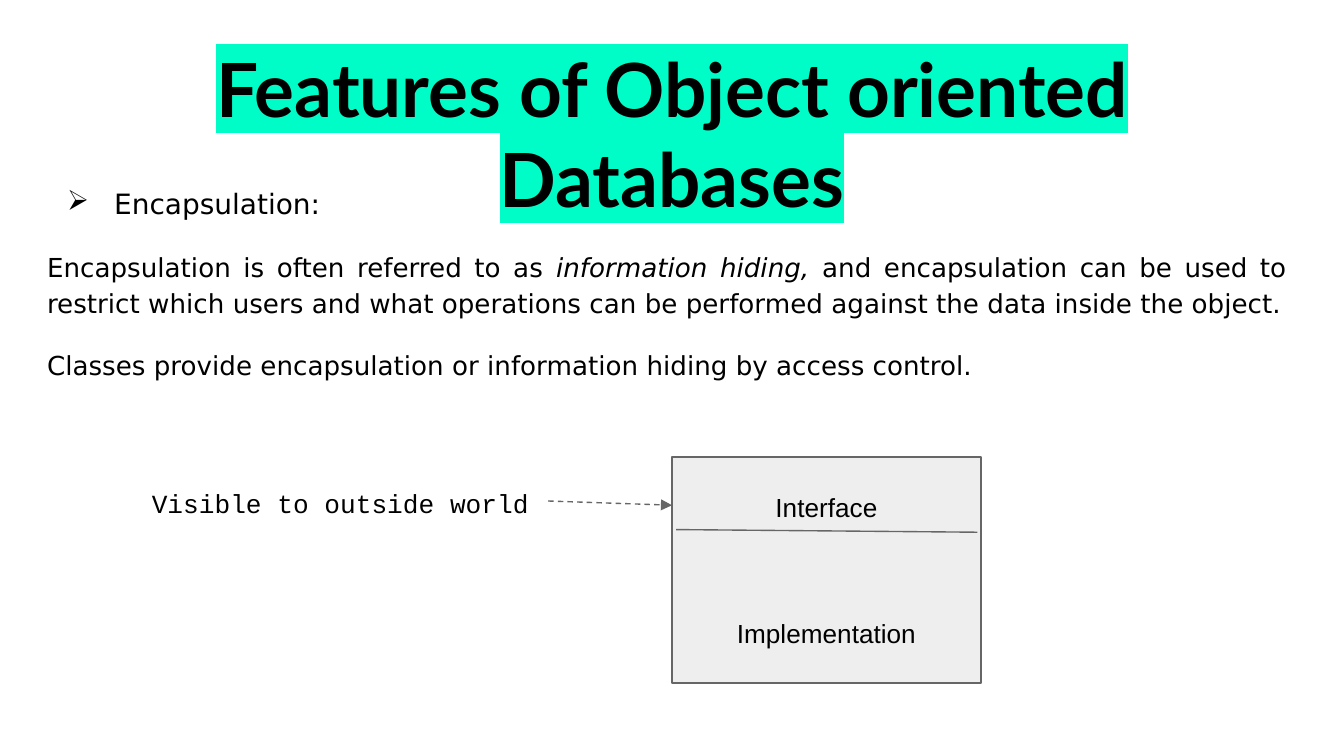
from dataclasses import dataclass, field

import pptx
import pptx.dml.color
import pptx.enum.dml
import pptx.enum.shapes
import pptx.enum.text
import pptx.oxml
import pptx.oxml.ns
import pptx.util
from lxml import etree
from pptx.util import Cm

Align = pptx.enum.text.PP_ALIGN
Anchor = pptx.enum.text.MSO_ANCHOR


@dataclass(frozen=True)
class Theme:
    ink: str = "000000"
    line: str = "666666"
    panel: str = "EEEEEE"
    highlight: str = "00FDC8"
    title_size: int = 40
    bullet_size: int = 15
    body_size: int = 14
    line_width: float = 0.75
    inset: float = 0.25
    title_font: str = "Lato"
    body_font: str = "DejaVu Sans"
    panel_font: str = "Arial"
    label_font: str = "Courier New"


THEME = Theme()


@dataclass(frozen=True)
class Frame:
    left: float
    top: float
    width: float
    height: float

    def lengths(self) -> tuple:
        return Cm(self.left), Cm(self.top), Cm(self.width), Cm(self.height)


@dataclass(frozen=True)
class Span:
    text: str
    italic: bool = False


@dataclass(frozen=True)
class Para:
    spans: list[Span]
    font: str
    size: int = THEME.body_size
    align: Align = Align.LEFT
    bold: bool = False
    space_before: float = 0
    line_spacing: float = 1.0
    bullet: str = ""
    highlight: str = ""


@dataclass(frozen=True)
class Line:
    start: tuple[float, float]
    end: tuple[float, float]
    arrow: bool = False


def rgb(value: str) -> pptx.dml.color.RGBColor:
    return pptx.dml.color.RGBColor.from_string(value)


def add_xml(parent, tag: str, **attributes: str):
    return etree.SubElement(parent, pptx.oxml.ns.qn(tag), attributes)


def add_bullet(para, mark: str) -> None:
    properties = para._p.get_or_add_pPr()
    properties.set("marL", str(Cm(1.27)))
    properties.set("indent", str(Cm(-0.89)))
    add_xml(properties, "a:buChar", char=mark)


def write_para(para, content: Para) -> None:
    para.alignment = content.align
    para.line_spacing = content.line_spacing
    para.space_before = pptx.util.Pt(content.space_before)
    if content.bullet:
        add_bullet(para, content.bullet)
    para.font.name = content.font
    para.font.size = pptx.util.Pt(content.size)
    para.font.bold = content.bold
    para.font.color.rgb = rgb(THEME.ink)
    for span in content.spans:
        run = para.add_run()
        run.text = span.text
        if span.italic:
            run.font.italic = True
        if content.highlight:
            marker = add_xml(run._r.get_or_add_rPr(), "a:highlight")
            add_xml(marker, "a:srgbClr", val=content.highlight)


def write_text(shape, paras: list[Para], anchor: Anchor = Anchor.TOP) -> None:
    frame = shape.text_frame
    frame.word_wrap = True
    frame.auto_size = pptx.enum.text.MSO_AUTO_SIZE.NONE
    frame.vertical_anchor = anchor
    frame.margin_left = frame.margin_right = Cm(THEME.inset)
    frame.margin_top = frame.margin_bottom = Cm(THEME.inset)
    for index, content in enumerate(paras):
        write_para(frame.add_paragraph() if index else frame.paragraphs[0], content)


def write_title(page, frame: Frame, content: Para) -> None:
    title = page.shapes.title
    title.left, title.top, title.width, title.height = frame.lengths()
    write_text(title, [content])


def add_text(page, frame: Frame, paras: list[Para]) -> None:
    write_text(page.shapes.add_textbox(*frame.lengths()), paras)


def add_panel(page, frame: Frame, paras: list[Para]) -> None:
    box = page.shapes.add_shape(pptx.enum.shapes.MSO_SHAPE.RECTANGLE, *frame.lengths())
    box.shadow.inherit = False
    box.fill.solid()
    box.fill.fore_color.rgb = rgb(THEME.panel)
    box.line.color.rgb = rgb(THEME.line)
    box.line.width = pptx.util.Pt(THEME.line_width)
    write_text(box, paras, Anchor.MIDDLE)


def add_line(page, line: Line) -> None:
    ends = [Cm(value) for value in line.start + line.end]
    connector = page.shapes.add_connector(pptx.enum.shapes.MSO_CONNECTOR.STRAIGHT, *ends)
    connector.line.color.rgb = rgb(THEME.line)
    connector.line.width = pptx.util.Pt(THEME.line_width)
    if line.arrow:
        connector.line.dash_style = pptx.enum.dml.MSO_LINE.DASH
        add_xml(connector.line._get_or_add_ln(), "a:tailEnd", type="triangle")
    add_xml(connector._element.spPr, "a:effectLst")


def body_para(*spans: Span) -> Para:
    return Para(list(spans), THEME.body_font, align=Align.JUSTIFY,
                space_before=14, line_spacing=1.15)


def panel_para(text: str, space_before: float = 0) -> Para:
    return Para([Span(text)], THEME.panel_font, align=Align.CENTER,
                space_before=space_before)


def main() -> None:
    deck = pptx.Presentation()
    deck.slide_width, deck.slide_height = Cm(25.4), Cm(14.29)
    page = deck.slides.add_slide(deck.slide_layouts.get_by_name("Title Only"))

    write_title(page, Frame(0.84, 0.56, 23.72, 2.08), Para(
        [Span("Features of Object oriented Databases")], THEME.title_font,
        THEME.title_size, Align.CENTER, bold=True, highlight=THEME.highlight))
    add_text(page, Frame(0.64, 3.28, 23.93, 5.36), [
        Para([Span("Encapsulation:")], THEME.body_font, THEME.bullet_size, bullet="➢"),
        body_para(
            Span("Encapsulation is often referred to as "),
            Span("information hiding, ", italic=True),
            Span("and encapsulation can be used to restrict which users and what "
                 "operations can be performed against the data inside the object.")),
        body_para(Span("Classes provide encapsulation or information hiding "
                       "by access control.")),
    ])
    add_panel(page, Frame(12.7, 8.64, 5.84, 4.27), [
        panel_para("Interface"), panel_para("Implementation", space_before=51)])
    add_line(page, Line((12.78, 10.01), (18.47, 10.06)))
    add_text(page, Frame(2.62, 8.97, 7.75, 1.12), [
        Para([Span("Visible to outside world")], THEME.label_font)])
    add_line(page, Line((10.36, 9.47), (12.7, 9.55), arrow=True))
    deck.save("out.pptx")


if __name__ == "__main__":
    main()
